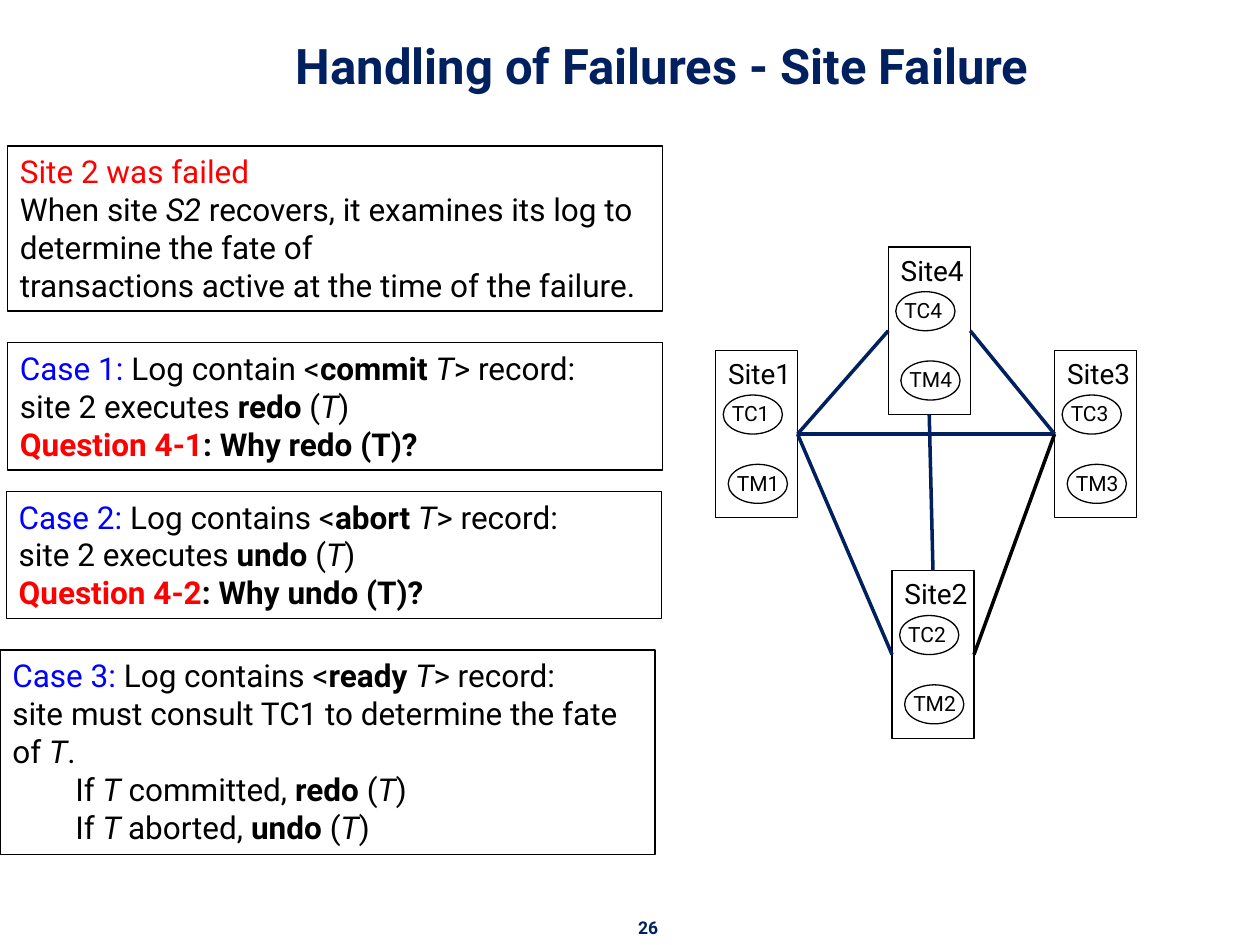
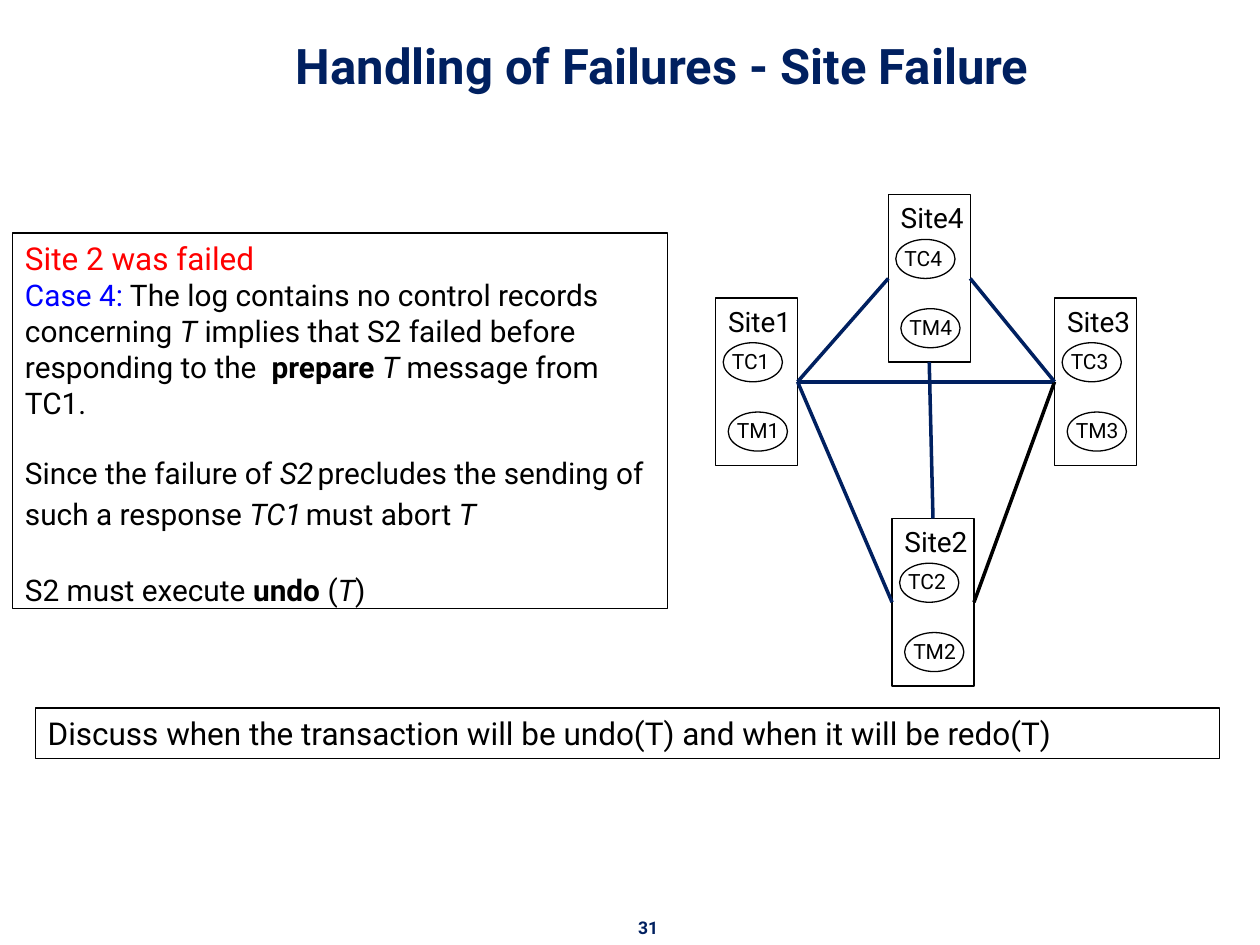
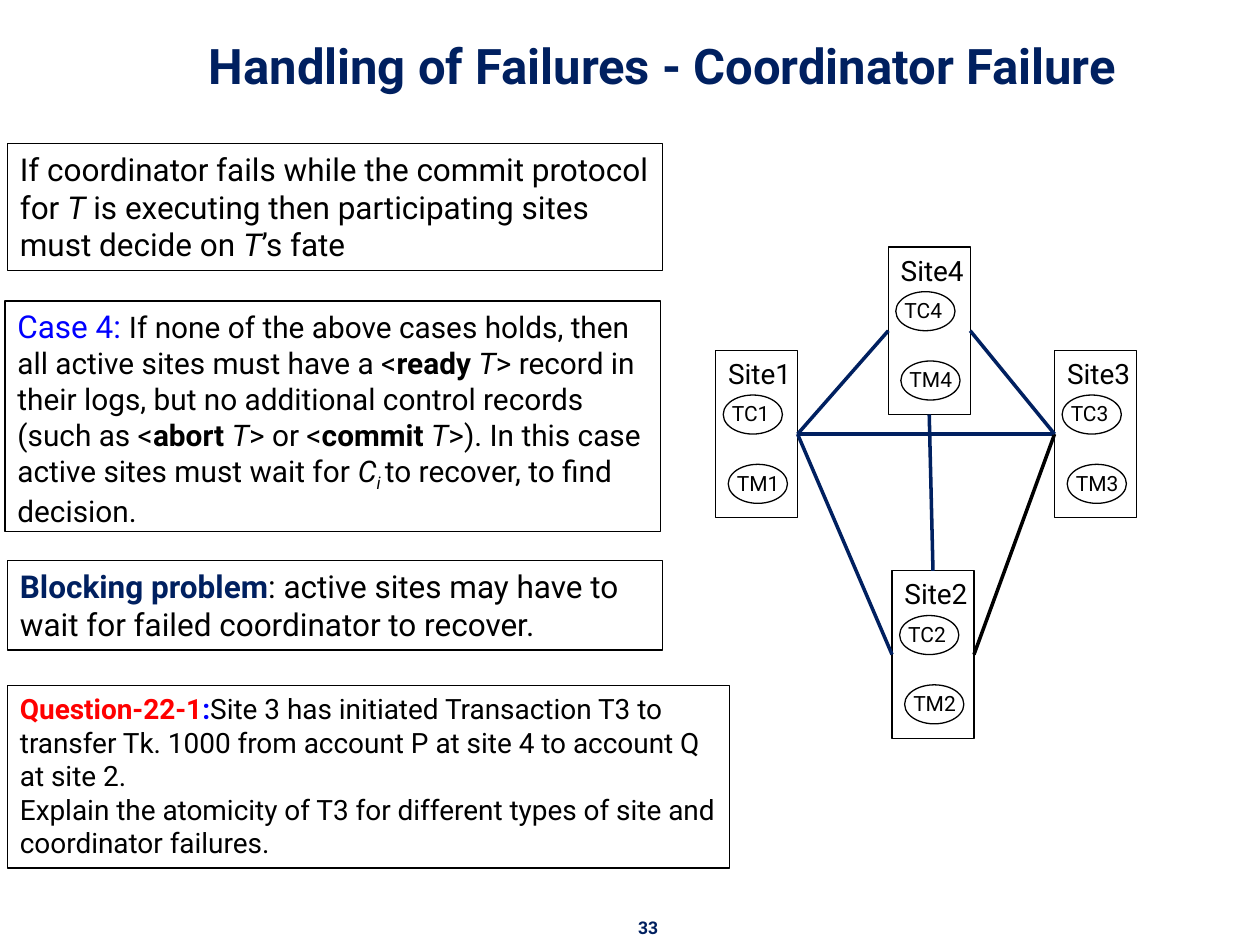
from dataclasses import dataclass

from lxml.etree import SubElement
from pptx import Presentation
from pptx.dml.color import RGBColor
from pptx.enum.shapes import MSO_CONNECTOR as Connector, MSO_SHAPE as Preset
from pptx.enum.text import MSO_ANCHOR as Anchor, MSO_AUTO_SIZE as AutoSize, PP_ALIGN as Align
from pptx.oxml.ns import qn
from pptx.util import Inches, Pt


@dataclass(frozen=True)
class Theme:
    """Colours, type sizes and line widths shared by the slides."""

    font: str = "Roboto"
    navy: str = "002060"
    black: str = "000000"
    white: str = "FFFFFF"
    red: str = "FF0000"
    blue: str = "0000FF"
    title: int = 28
    body: int = 18
    dense: int = 17
    small: int = 16
    node: int = 12
    number: int = 10
    border: float = 0.75
    link: float = 2


@dataclass(frozen=True)
class Run:
    """A piece of text with one look."""

    text: str
    color: str = "000000"
    bold: bool = False
    italic: bool = False
    subscript: bool = False
    size: int = 0


@dataclass(frozen=True)
class Block:
    """A paragraph with its runs, level and space below."""

    runs: list
    level: int = 0
    gap: float = 0


THEME = Theme()
WIDTH, HEIGHT = Inches(10), Inches(7.5)
COLUMN, ROW = WIDTH // 100, HEIGHT // 75
TOP, LEFT, BOTTOM, RIGHT = range(4)
BOX_COLUMNS = 52
SITES = {"1": (56.8, 8.2), "3": (83.7, 8.2), "4": (70.5, 0), "2": (70.8, 25.7)}
LINKS = [
    ("1", RIGHT, "3", LEFT, THEME.navy),
    ("1", RIGHT, "4", LEFT, THEME.navy),
    ("1", RIGHT, "2", LEFT, THEME.navy),
    ("3", LEFT, "2", RIGHT, THEME.black),
    ("4", RIGHT, "3", LEFT, THEME.navy),
    ("4", BOTTOM, "2", TOP, THEME.navy),
]


def grid(left, top, width, height):
    """Turn grid columns and rows into slide lengths."""
    return [round(n * unit) for n, unit in zip((left, top, width, height), (COLUMN, ROW) * 2)]


def bold(text, color=THEME.black):
    """Return a bold run."""
    return Run(text, color, bold=True)


def italic(text):
    """Return an italic run."""
    return Run(text, italic=True)


def action(name):
    """Return the runs of an action applied to T."""
    return [bold(f"{name} "), Run("("), italic("T"), Run(")")]


def record(name):
    """Return the runs of a log record name, without its brackets."""
    return [bold(f"{name} "), italic("T")]


def case_heading(number, verb, name):
    """Return the opening paragraph of a case about a log record."""
    return Block([Run(f"Case {number}:", THEME.blue), Run(f" Log {verb} <"),
                  *record(name), Run("> record:")])


def question_case(number, verb, name, remedy):
    """Return the paragraphs of a case that ends in a question."""
    return [
        case_heading(number, verb, name),
        Block([Run("site 2 executes "), *action(remedy)]),
        Block([bold(f"Question 4-{number}", THEME.red), bold(f": Why {remedy} (T)?")]),
    ]


def add_run(paragraph, piece, size):
    """Add one styled run to a paragraph."""
    run = paragraph.add_run()
    run.text = piece.text
    font = run.font
    font.name, font.size = THEME.font, Pt(piece.size or size)
    font.bold, font.italic = piece.bold, piece.italic
    font.color.rgb = RGBColor.from_string(piece.color)
    if piece.subscript:
        run._r.get_or_add_rPr().set("baseline", "-25000")


def write(shape, blocks, size, align=Align.LEFT, anchor=Anchor.TOP, wrap=True):
    """Write paragraphs into a shape."""
    frame = shape.text_frame
    frame.word_wrap, frame.vertical_anchor = wrap, anchor
    for index, block in enumerate(blocks):
        paragraph = frame.add_paragraph() if index else frame.paragraphs[0]
        paragraph.alignment, paragraph.level = align, block.level
        if block.level:
            paragraph._p.get_or_add_pPr().set("marL", str(Inches(0.5) * block.level))
        if block.gap:
            paragraph.space_after = Pt(block.gap)
        for piece in block.runs:
            add_run(paragraph, piece, size)


def add_outlined(shapes, preset, place, fill=None):
    """Add a thinly outlined shape, filled only on request."""
    shape = shapes.add_shape(preset, *grid(*place))
    shape.shadow.inherit = False
    if fill:
        shape.fill.solid()
        shape.fill.fore_color.rgb = RGBColor.from_string(fill)
    else:
        shape.fill.background()
    shape.line.color.rgb = RGBColor.from_string(THEME.black)
    shape.line.width = Pt(THEME.border)
    return shape


def add_box(slide, left, top, height, blocks, size=THEME.body, width=BOX_COLUMNS):
    """Add an outlined box of text."""
    shape = add_outlined(slide.shapes, Preset.RECTANGLE, (left, top, width, height))
    write(shape, blocks, size)
    shape.text_frame.auto_size = AutoSize.SHAPE_TO_FIT_TEXT


def add_node(shapes, left, top, label):
    """Add an oval that stands for a manager at a site."""
    oval = add_outlined(shapes, Preset.OVAL, (left, top, 4.7, 3.1), THEME.white)
    frame = oval.text_frame
    frame.margin_left = frame.margin_right = frame.margin_top = frame.margin_bottom = 0
    write(oval, [Block([Run(label)])], THEME.node, wrap=False)


def add_site(shapes, left, top, number):
    """Add a site with its coordinator and manager and return its rectangle."""
    site = add_outlined(shapes, Preset.RECTANGLE, (left, top, 6.5, 13.3), THEME.white)
    write(site, [Block([Run(f"Site{number}")])], THEME.small, wrap=False)
    add_node(shapes, left + 0.6, top + 3.55, f"TC{number}")
    add_node(shapes, left + 1, top + 9.05, f"TM{number}")
    return site


def add_link(shapes, start, start_side, end, end_side, color):
    """Join the sides of two sites with a line."""
    link = shapes.add_connector(Connector.STRAIGHT, start.left, start.top, end.left, end.top)
    link.begin_connect(start, start_side)
    link.end_connect(end, end_side)
    link.line.color.rgb = RGBColor.from_string(color)
    link.line.width = Pt(THEME.link)
    SubElement(link._element.spPr, qn("a:effectLst"))


def add_network(slide, top):
    """Add the group of four linked sites."""
    shapes = slide.shapes.add_group_shape().shapes
    sites = {number: add_site(shapes, left, top + drop, number)
             for number, (left, drop) in SITES.items()}
    for start, start_side, end, end_side, color in LINKS:
        add_link(shapes, sites[start], start_side, sites[end], end_side, color)


def add_slide(presentation, title, number, network_top=19.6):
    """Add a slide with its number, title and network."""
    slide = presentation.slides.add_slide(presentation.slide_layouts[6])
    footer = slide.shapes.add_textbox(*grid(49.6, 72.3, 3.7, 2.7))
    write(footer, [Block([bold(number, THEME.navy)])], THEME.number, Align.CENTER, wrap=False)
    heading = slide.shapes.add_textbox(*grid(8.4, 1.3, 88.3, 6.7))
    write(heading, [Block([bold(title, THEME.navy)])], THEME.title, Align.CENTER, Anchor.BOTTOM)
    add_network(slide, network_top)
    return slide


def add_recovery_slide(presentation):
    """Add the slide on the first three cases of a site failure."""
    slide = add_slide(presentation, "Handling of Failures - Site Failure", "26")
    add_box(slide, 0.6, 11.6, 13.1, [
        Block([Run("Site 2 was failed", THEME.red)]),
        Block([Run("When site "), italic("S2 "),
               Run("recovers, it examines its log to determine the fate of")]),
        Block([Run("transactions active at the time of the failure.")]),
    ])
    add_box(slide, 0.6, 27.2, 10.1, question_case(1, "contain", "commit", "redo"))
    add_box(slide, 0.5, 39, 10.1, question_case(2, "contains", "abort", "undo"))
    add_box(slide, 0, 51.6, 16.2, [
        case_heading(3, "contains", "ready"),
        Block([Run("site must consult TC1 to determine the fate of "), italic("T"), Run(".")]),
        Block([Run("If "), italic("T"), Run(" committed, "), *action("redo")], level=1),
        Block([Run("If "), italic("T "), Run("aborted, "), *action("undo")], level=1),
    ])


def add_no_record_slide(presentation):
    """Add the slide on a failed site without control records."""
    slide = add_slide(presentation, "Handling of Failures - Site Failure", "31", 15.45)
    low_space = Run(" ", italic=True, subscript=True)
    add_box(slide, 1, 18.5, 29.8, [
        Block([Run("Site 2 was failed", THEME.red, size=THEME.body)]),
        Block([Run("Case 4:", THEME.blue),
               Run(" The log contains no control records concerning "), italic("T"),
               Run(" implies that S2 failed before responding to the  "),
               *record("prepare"), Run(" message from TC1.")], gap=20),
        Block([Run("Since the failure of "), italic("S2"), low_space,
               Run("precludes the sending of such a response "), italic("TC1"), low_space,
               Run("must abort "), italic("T")], gap=20),
        Block([Run("S2 must execute "), *action("undo")]),
    ], THEME.dense)
    add_box(slide, 2.8, 56.2, 4, [
        Block([Run("Discuss when the transaction will be undo(T) and when it will be redo(T)")]),
    ], width=94)


def add_coordinator_slide(presentation):
    """Add the slide on a coordinator failure."""
    slide = add_slide(presentation, "Handling of Failures - Coordinator Failure", "33")
    add_box(slide, 0.6, 11.4, 10.1, [
        Block([Run("If coordinator fails while the commit protocol for "), italic("T"),
               Run(" is executing then participating sites must decide on "), italic("T"),
               Run("’s fate")]),
    ])
    add_box(slide, 0.4, 23.9, 18.3, [
        Block([Run("Case 4: ", THEME.blue, size=THEME.body),
               Run("If none of the above cases holds, then all active sites must have a <"),
               *record("ready"),
               Run("> record in their logs, but no additional control records (such as <"),
               *record("abort"), Run("> or <"), *record("commit"),
               Run(">). In this case active sites must wait for "), italic("C"),
               Run("i ", italic=True, subscript=True), Run("to recover, to find decision.")]),
    ], THEME.dense)
    add_box(slide, 0.6, 44.5, 7.1, [
        Block([bold("Blocking problem", THEME.navy),
               Run(": active sites may have to wait for failed coordinator to recover.")]),
    ])
    add_box(slide, 0.6, 54.4, 14.5, [
        Block([bold("Question-22-1", THEME.red), bold(":", THEME.blue),
               Run("Site 3 has initiated Transaction T3 to transfer Tk. 1000 "
                   "from account P at site 4 to account Q at site 2.")]),
        Block([Run("Explain the atomicity of T3 for different types of site "
                   "and coordinator failures.")]),
    ], THEME.small, width=57.3)


def main():
    """Build the three slides and save them."""
    presentation = Presentation()
    presentation.slide_width, presentation.slide_height = WIDTH, HEIGHT
    add_recovery_slide(presentation)
    add_no_record_slide(presentation)
    add_coordinator_slide(presentation)
    presentation.save("out.pptx")


if __name__ == "__main__":
    main()
